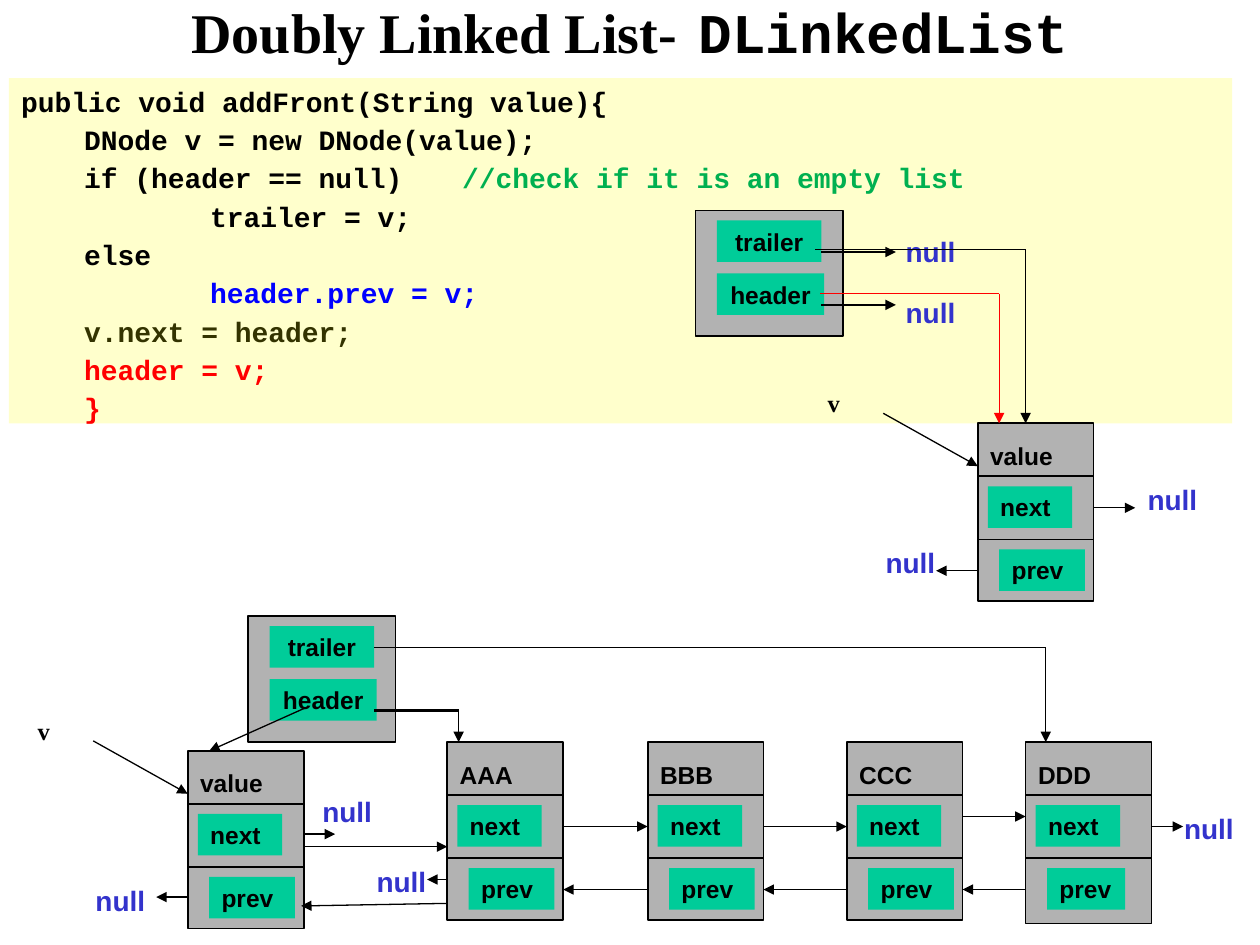
from pptx import Presentation, util as u
from pptx.dml.color import RGBColor
from pptx.enum import shapes, text
from pptx.oxml.ns import qn
from lxml import etree

BLACK = RGBColor(0x00, 0x00, 0x00)
GRAY = RGBColor(0xB2, 0xB2, 0xB2)
GREEN = RGBColor(0x00, 0xCC, 0x99)
CREAM = RGBColor(0xFF, 0xFF, 0xCC)
INDIGO = RGBColor(0x33, 0x33, 0xCC)
LEAF = RGBColor(0x00, 0xB0, 0x50)
BLUE = RGBColor(0x00, 0x00, 0xFF)
OLIVE = RGBColor(0x33, 0x33, 0x00)
RED = RGBColor(0xFF, 0x00, 0x00)
SANS, MONO, SERIF = "Arial", "Courier New", "Times New Roman"

TITLE = [("Doubly Linked List-", SERIF, 32), (" ", MONO, 20),
         ("DLinkedList", MONO, 32), (" ", MONO, 20)]
CODE = [
    (0, [("public void addFront(String value){", BLACK)]),
    (0.5, [("DNode v = new DNode(value);", BLACK)]),
    (0.5, [("if (header == null)\t", BLACK),
           ("//check if it is an empty list", LEAF)]),
    (1.5, [("trailer = v;", BLACK)]),
    (0.5, [("else", BLACK)]),
    (1.5, [("header.prev = v;", BLUE)]),
    (0.5, [("v.next = header;", OLIVE)]),
    (0.5, [("header = v;", RED)]),
    (0.5, [("}", RED)]),
]
LISTS = [(5.52, 1.67), (1.97, 4.89)]
TOP, BASE = 5.89, 1.41
CHAIN = [("AAA", 3.55, 0.92, BASE), ("BBB", 5.14, 0.92, BASE),
         ("CCC", 6.72, 0.92, BASE), ("DDD", 8.14, 1, 1.44)]
FRESH = [(7.76, 3.36), (1.49, 5.96)]
NULLS = [(7.09, 1.81), (7.09, 2.3), (6.93, 4.28), (9.01, 3.78),
         (9.3, 6.39), (2.89, 6.81), (2.46, 6.26), (0.66, 6.96)]
ARROWS = [
    [(6.52, 2), (7.11, 2)],
    [(6.52, 2.42), (7.11, 2.42)],
    [(7.76, 4.53), (7.43, 4.53)],
    [(8.68, 4.03), (9.01, 4.03)],
    [(6.47, 1.98), (8.14, 1.98), (8.14, 3.36)],
    [(2.97, 5.14), (8.3, 5.14), (8.3, TOP)],
    [(3.55, 6.98), (3.39, 6.98)],
    [(9.14, 6.56), (9.39, 6.56)],
    [(2.41, 6.62), (2.66, 6.62)],
    [(1.49, 7.12), (1.24, 7.12)],
    [(3.55, 7.17), (2.39, 7.19)],
    [(2.42, 6.72), (3.55, 6.72)],
    [(2.42, 5.62), (1.66, 5.96)],
]

deck = Presentation()
deck.slide_width, deck.slide_height = u.Inches(10), u.Inches(7.5)
slide = deck.slides.add_slide(deck.slide_layouts[6])


def box(x, y, w, h, fill=None, edge=None):
    at = [u.Inches(n) for n in (x, y, w, h)]
    if fill is None:
        return slide.shapes.add_textbox(*at)
    form = slide.shapes.add_shape(shapes.MSO_SHAPE.RECTANGLE, *at)
    form.shadow.inherit = False
    form.fill.solid()
    form.fill.fore_color.rgb = fill
    if edge:
        form.line.color.rgb = edge
        form.line.width = u.Pt(1)
    else:
        form.line.fill.background()
    return form


def write(form, lines, mid=False, anchor=text.MSO_ANCHOR.TOP, gap=0, inset=0.1):
    frame = form.text_frame
    frame.word_wrap = True
    frame.vertical_anchor = anchor
    frame.margin_left = u.Inches(0.05 if mid else inset)
    frame.margin_right = u.Inches(0.05 if mid else 0)
    for i, (dent, runs) in enumerate(lines):
        para = frame.add_paragraph() if i else frame.paragraphs[0]
        para.alignment = text.PP_ALIGN.CENTER if mid else text.PP_ALIGN.LEFT
        para.space_before = u.Pt(gap if i else 0)
        props = para._p.get_or_add_pPr()
        props.set("marL", str(u.Inches(dent)))
        props.set("indent", "0")
        for words, face, size, hue in runs:
            run = para.add_run()
            run.text = words
            run.font.name, run.font.size = face, u.Pt(size)
            run.font.bold = True
            run.font.color.rgb = hue


def tag(words, x, y, w, h=0.33, fill=None, face=SANS, size=14, hue=BLACK, mid=False):
    write(box(x, y, w, h, fill), [(0, [(words, face, size, hue)])], mid=mid)


def line(spots, hue=BLACK, width=0.75, tip=True):
    for i, (a, b) in enumerate(zip(spots, spots[1:]), 2):
        wire = slide.shapes.add_connector(
            shapes.MSO_CONNECTOR.STRAIGHT, *[u.Inches(n) for n in a + b])
        wire.line.color.rgb = hue
        wire.line.width = u.Pt(width)
        if tip and i == len(spots):
            end = etree.SubElement(wire.line._get_or_add_ln(), qn("a:tailEnd"))
            end.set("type", "triangle")
        etree.SubElement(wire._element.spPr, qn("a:effectLst"))


def head(x, y):
    box(x, y, 1.17, 1, GRAY, BLACK)
    tag("header", x + 0.17, y + 0.5, 0.85, fill=GREEN, mid=True)
    tag("trailer", x + 0.17, y + 0.08, 0.83, fill=GREEN, mid=True)


def node(name, x, y, w=0.92, h=BASE):
    box(x, y, w, h, GRAY, BLACK)
    for drop, width in ((0.42, 1), (0.92, 0.75)):
        line([(x, y + drop), (x + w, y + drop)], width=width, tip=False)
    tag(name, x, y + 0.09, 1)
    tag("prev", x + 0.17, y + 1, 0.62 if w == 1 else 0.68, fill=GREEN)
    tag("next", x + 0.08, y + 0.5, 0.67, fill=GREEN)


write(box(0.17, 0, 9.83, 0.5), [(0, [part + (BLACK,) for part in TITLE])],
      mid=True, anchor=text.MSO_ANCHOR.MIDDLE)
write(box(0.07, 0.62, 9.71, 2.74, CREAM),
      [(dent, [(words, MONO, 16, hue) for words, hue in runs])
       for dent, runs in CODE], gap=2.7)

for x, y in LISTS:
    head(x, y)
for name, x, w, h in CHAIN:
    node(name, x, TOP, w, h)
for x, y in FRESH:
    node("value", x, y)
    tag("v", x - 1.29, y - 0.33, 1, face=SERIF)
    line([(x - 0.75, y - 0.08), (x, y + 0.34)])
for x, y in NULLS:
    tag("null", x, y, 0.67, 0.36, size=16, hue=INDIGO)

for (_, x, w, _), (name, far, _, _) in zip(CHAIN, CHAIN[1:]):
    level = 6.48 if name == "DDD" else 6.56
    line([(x + w, level), (far, level)])
    line([(far, 7.06), (x + w, 7.06)])
for spots in ARROWS:
    line(spots)
line([(6.51, 2.33), (7.93, 2.33), (7.93, 3.36)], hue=RED)
line([(2.97, 5.64), (3.64, 5.64)], width=1.5, tip=False)
line([(3.64, 5.64), (3.64, TOP)])

deck.save("out.pptx")
